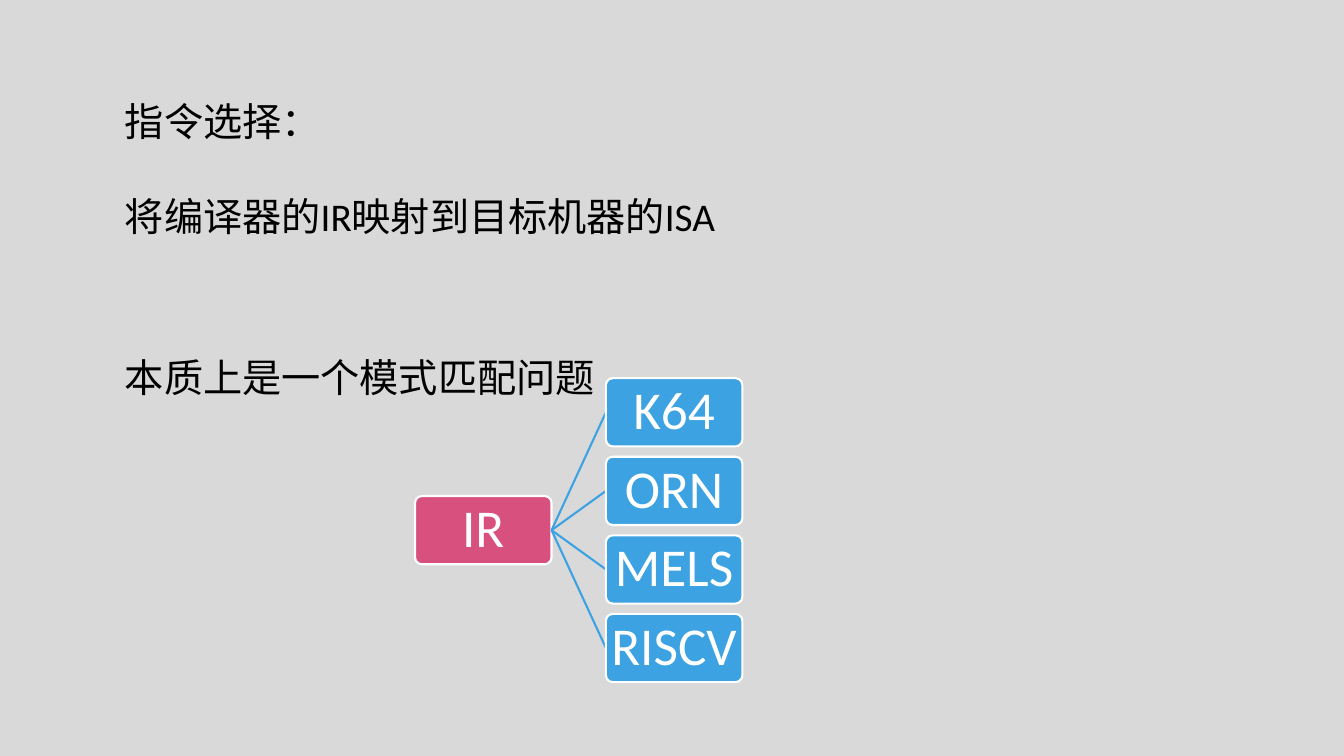
from pptx import Presentation
from pptx.dml.color import RGBColor as RGB
from pptx.enum.shapes import MSO_CONNECTOR as LINE, MSO_SHAPE as SHAPE
from pptx.enum.text import MSO_ANCHOR as ANCHOR, PP_ALIGN as ALIGN
from pptx.oxml.ns import qn
from pptx.util import Cm, Pt
from lxml import etree

COLORS = {k: RGB.from_string(v) for k, v in {
    "bg": "D9D9D9", "text": "000000", "white": "FFFFFF",
    "ir": "D8507E", "target": "3CA2E2"}.items()}

prs = Presentation()
prs.slide_width, prs.slide_height = Cm(33.87), Cm(19.05)
s = prs.slides.add_slide(prs.slide_layouts[6])
s.background.fill.solid()
s.background.fill.fore_color.rgb = COLORS["bg"]


def write(tf, text, size=28, color="text", align=ALIGN.LEFT, line=1.0, before=0):
    """Fill a text frame, one paragraph per line of text."""
    for i, words in enumerate(text.split("\n")):
        p = tf.add_paragraph() if i else tf.paragraphs[0]
        p.alignment, p.line_spacing = align, line
        p.space_before = Pt(before if i else 0)
        r = p.add_run()
        r.text = words
        r.font.name, r.font.size = "Calibri", Pt(size)
        r.font.color.rgb = COLORS[color]


def add_node(text, left, top, fill):
    sp = s.shapes.add_shape(SHAPE.ROUNDED_RECTANGLE, Cm(left), Cm(top),
                            Cm(NODE_W), Cm(NODE_H))
    sp.adjustments[0] = 0.1
    sp.shadow.inherit = False
    sp.fill.solid()
    sp.fill.fore_color.rgb = COLORS[fill]
    sp.line.color.rgb = COLORS["white"]
    sp.line.width = Pt(1.5)
    tf = sp.text_frame
    tf.word_wrap = False
    tf.vertical_anchor = ANCHOR.MIDDLE
    tf.margin_left = tf.margin_right = tf.margin_top = tf.margin_bottom = Cm(0.13)
    write(tf, text, size=38, color="white", align=ALIGN.CENTER, line=0.9)


# IR node and its target machines
NODE_W, NODE_H, PITCH = 3.44, 1.72, 1.98
IR_X, TARGET_X, TARGET_Y = 10.46, 15.27, 9.53
targets = ["K64", "ORN", "MELS", "RISCV"]
ir_y = TARGET_Y + PITCH * (len(targets) - 1) / 2
add_node("IR", IR_X, ir_y, "ir")
for i, name in enumerate(targets):
    y = TARGET_Y + i * PITCH
    link = s.shapes.add_connector(LINE.STRAIGHT, Cm(IR_X + NODE_W), Cm(ir_y + NODE_H / 2),
                                  Cm(TARGET_X), Cm(y + NODE_H / 2))
    link.line.color.rgb = COLORS["target"]
    link.line.width = Pt(1.5)
    etree.SubElement(link._element.spPr, qn("a:effectLst"))
    add_node(name, TARGET_X, y, "target")

# Explanations
for text, top, height in [
    ("指令选择：\n将编译器的IR映射到目标机器的ISA", 2.34, 3.84),
    ("本质上是一个模式匹配问题", 8.79, 1.45),
]:
    tf = s.shapes.add_textbox(Cm(2.9), Cm(top), Cm(28.07), Cm(height)).text_frame
    tf.word_wrap = True
    write(tf, text, before=34)

prs.save("out.pptx")
